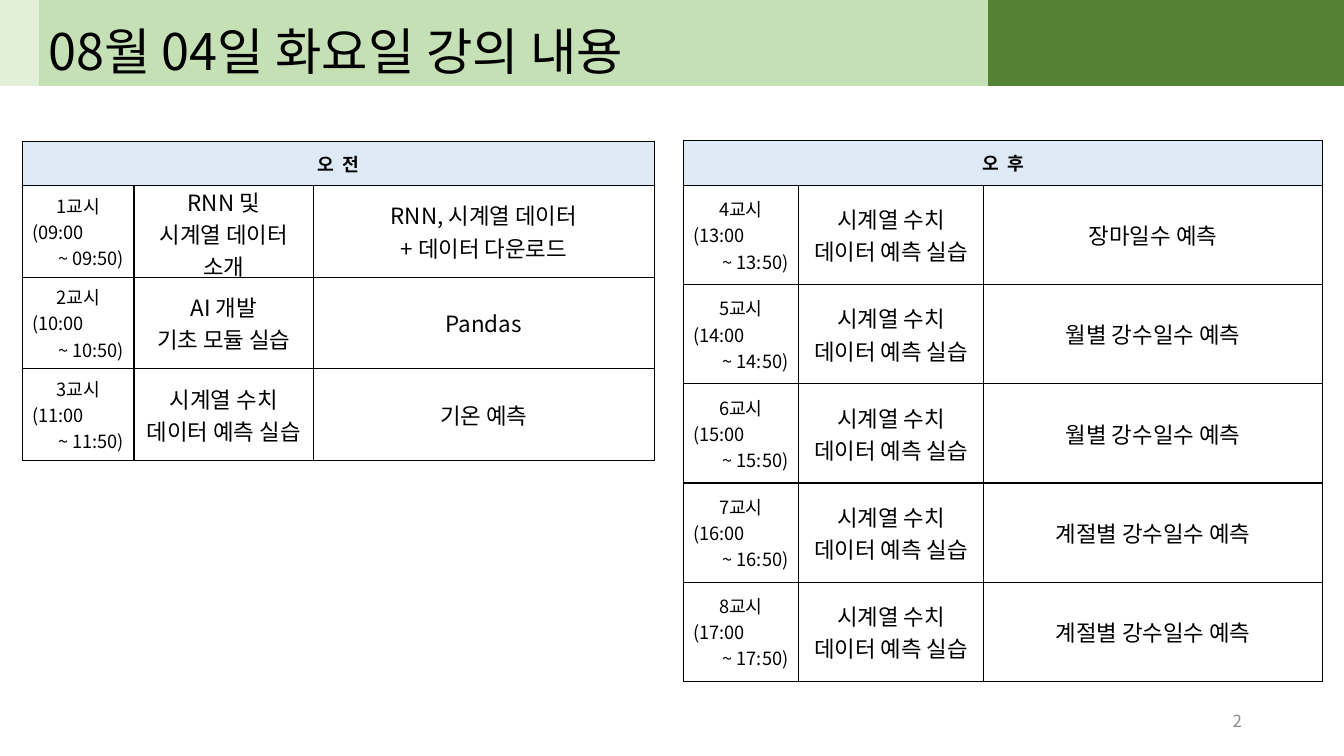
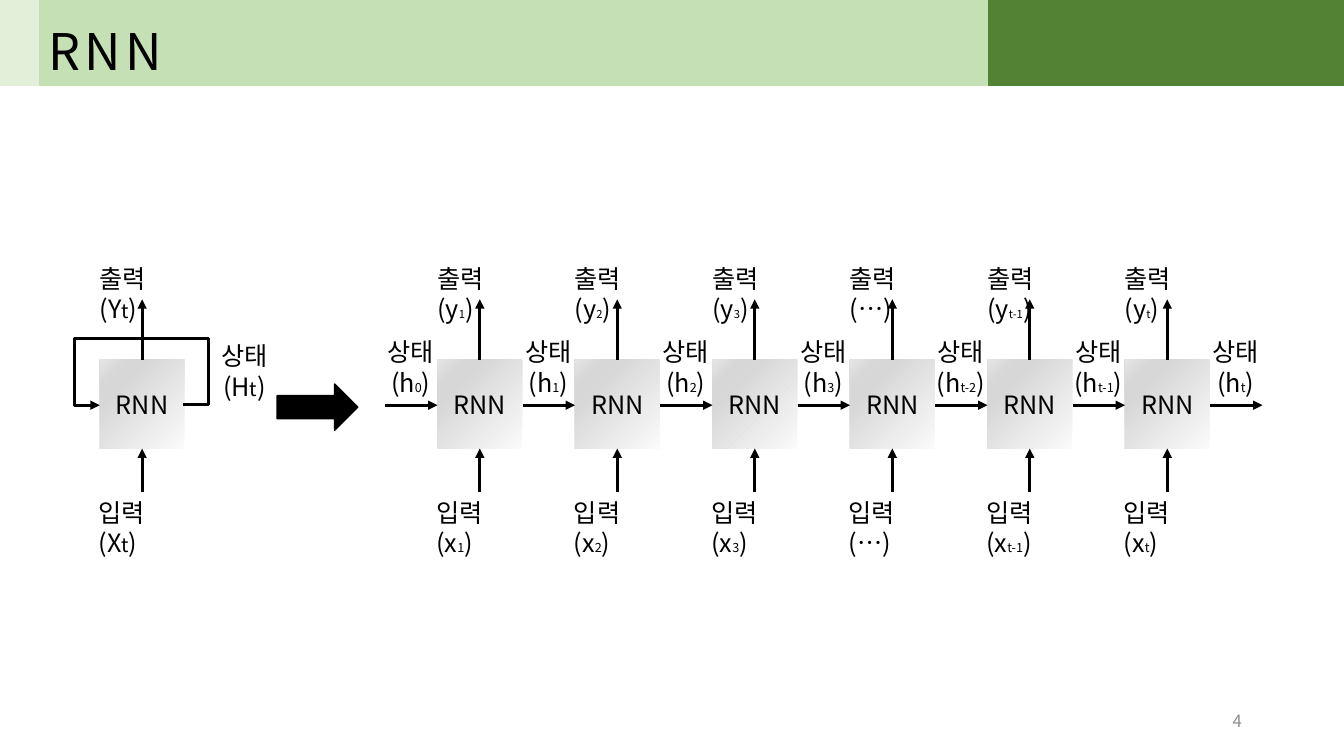
"""Build two lecture slides: a day timetable and an unrolled RNN."""
from lxml import etree
from pptx import Presentation
from pptx import util as u
from pptx.dml.color import RGBColor
from pptx.enum import shapes, text
from pptx.oxml.ns import qn

COLORS = {"pale": "E2F0D9", "light": "C5E0B4", "dark": "548235", "header": "DEEBF7",
          "ink": "000000", "muted": "8C8C8C"}
GRADIENT = [(0, "FAFAFA"), (74, "D7D7D7"), (83, "D7D7D7"), (100, "E4E4E4")]
FONT = "Noto Sans CJK KR"
COLS, ROWS = 133.33, 75
LEFT, CENTER, RIGHT = text.PP_ALIGN.LEFT, text.PP_ALIGN.CENTER, text.PP_ALIGN.RIGHT
MIDDLE = text.MSO_ANCHOR.MIDDLE
RECT = shapes.MSO_SHAPE.RECTANGLE


def grid(*cells):
    """Turn tenth-of-an-inch grid cells into lengths."""
    return [u.Inches(c / 10) for c in cells]


def rgb(name):
    """Look up a named colour."""
    return RGBColor.from_string(COLORS[name])


class Deck:
    """Hold the shared style and the current slide."""

    def __init__(self):
        """Start an empty widescreen presentation."""
        self.prs = Presentation()
        self.prs.slide_width, self.prs.slide_height = grid(COLS, ROWS)
        self.s = None

    def font(self, r, size, color="ink", bold=False):
        """Format one run."""
        r.font.size, r.font.bold = u.Pt(size), bold
        r.font.color.rgb = rgb(color)
        r.font.name = FONT
        etree.SubElement(r._r.get_or_add_rPr(), qn("a:ea"), typeface=FONT)

    def put(self, tf, lines, aligns, size, **style):
        """Fill a frame with lines that share a size."""
        tf.text = "\n".join(lines)
        for p, align in zip(tf.paragraphs, aligns):
            p.alignment = align
            for r in p.runs:
                self.font(r, size, **style)

    def paint(self, sp, color):
        """Give a shape a plain fill and a matching outline."""
        sp.fill.solid()
        sp.fill.fore_color.rgb = rgb(color)
        sp.line.color.rgb = rgb(color)
        sp.line.width = u.Pt(1)

    def shape(self, kind, x, y, w, h, color=None):
        """Add a preset shape without shadow."""
        sp = self.s.shapes.add_shape(kind, *grid(x, y, w, h))
        sp.shadow.inherit = False
        if color:
            self.paint(sp, color)
        return sp

    def slide(self, title, number, spacing=0):
        """Add a slide with title bands and a page number."""
        self.s = self.prs.slides.add_slide(self.prs.slide_layouts[5])
        self.shape(RECT, 0, 0, 3.8, 8.5, "pale")
        sp = self.s.shapes.title
        sp.left, sp.top, sp.width, sp.height = grid(3.8, 0, 94.4, 8.5)
        self.paint(sp, "light")
        tf = sp.text_frame
        tf.auto_size = text.MSO_AUTO_SIZE.NONE
        tf.vertical_anchor = text.MSO_ANCHOR.BOTTOM
        self.put(tf, [title], [LEFT], 36)
        if spacing:
            tf.paragraphs[0].runs[0]._r.get_or_add_rPr().set("spc", str(spacing * 100))
        self.shape(RECT, 98.1, 0, 35.2, 8.5, "dark")
        tf = self.s.shapes.add_textbox(*grid(94.2, 69.5, 30, 4)).text_frame
        tf.word_wrap, tf.vertical_anchor = True, MIDDLE
        self.put(tf, [str(number)], [RIGHT], 12, color="muted")

    def borders(self, cell):
        """Draw thin black lines around a table cell."""
        pr = cell._tc.get_or_add_tcPr()
        for i, side in enumerate("LRTB"):
            ln = etree.Element(qn(f"a:ln{side}"), w=str(u.Pt(1)))
            fill = etree.SubElement(ln, qn("a:solidFill"))
            etree.SubElement(fill, qn("a:srgbClr"), val=COLORS["ink"])
            pr.insert(i, ln)

    def timetable(self, x, y, widths, heights, heading, first, hour, lessons):
        """Add a half-day table of numbered hourly lessons."""
        rows = [heights[0]] + [heights[1]] * len(lessons)
        tb = self.s.shapes.add_table(len(rows), len(widths),
                                     *grid(x, y, sum(widths), sum(rows))).table
        tb.first_row = tb.horz_banding = False
        for col, w in zip(tb.columns, grid(*widths)):
            col.width = w
        for row, h in zip(tb.rows, grid(*rows)):
            row.height = h
        tb.cell(0, 0).merge(tb.cell(0, len(widths) - 1))
        for cell in tb.iter_cells():
            cell.vertical_anchor = MIDDLE
            cell.fill.background()
            self.borders(cell)
        head = tb.cell(0, 0)
        head.fill.solid()
        head.fill.fore_color.rgb = rgb("header")
        self.put(head.text_frame, [heading], [CENTER], 13, bold=True)
        for i, lesson in enumerate(lessons):
            h = hour + i
            period = [f"{first + i}교시", f"({h:02}:00", f"~ {h:02}:50)"]
            self.put(tb.cell(i + 1, 0).text_frame, period, [CENTER, LEFT, RIGHT], 13)
            for j, words in enumerate(lesson, 1):
                cell = tb.cell(i + 1, j)
                cell.margin_left = cell.margin_right = 0
                cell.margin_top = cell.margin_bottom = 0
                lines = words.split("\n")
                self.put(cell.text_frame, lines, [CENTER] * len(lines), 16)

    def stroke(self, sp):
        """Make a line black, thick and arrow-headed."""
        sp.line.color.rgb = rgb("ink")
        sp.line.width = u.Pt(2.25)
        etree.SubElement(sp._element.spPr.find(qn("a:ln")), qn("a:tailEnd"), type="triangle")

    def arrow(self, x1, y1, x2, y2):
        """Add a straight arrow."""
        cn = self.s.shapes.add_connector(shapes.MSO_CONNECTOR.STRAIGHT, *grid(x1, y1, x2, y2))
        self.stroke(cn)
        etree.SubElement(cn._element.spPr, qn("a:effectLst"))

    def loop(self, *points):
        """Add an open angular arrow through the points."""
        start, *rest = [grid(*pt) for pt in points]
        fb = self.s.shapes.build_freeform(*start)
        fb.add_line_segments(rest, close=False)
        sp = fb.convert_to_shape()
        sp.fill.background()
        sp.shadow.inherit = False
        self.stroke(sp)

    def label(self, x, y, w, lines, sub, size, align=LEFT, wrap=True):
        """Add a caption that ends in a subscript and a bracket."""
        tf = self.s.shapes.add_textbox(*grid(x, y, w, 7.1)).text_frame
        tf.word_wrap = wrap
        self.put(tf, lines, [align] * len(lines), 18)
        if sub:
            for part, pt in ((sub, size), (")", 18)):
                r = tf.paragraphs[-1].add_run()
                r.text = part
                self.font(r, pt)

    def state(self, x, y, letter, sub, size=9):
        """Add a two-line state caption."""
        self.label(x, y, 7.1, ["상태", f"({letter}"], sub, size, CENTER, False)

    def cell(self, x, inp, out, sub, sizes=(9, 8)):
        """Add an RNN cell with its input and output."""
        sp = self.shape(RECT, x, 35.7, 8.4, 8.8)
        sp.line.fill.background()
        sp.fill.gradient()
        sp.fill.gradient_angle = 135
        stops = sp._element.spPr.find(qn("a:gradFill")).find(qn("a:gsLst"))
        stops.clear()
        for pos, color in GRADIENT:
            gs = etree.SubElement(stops, qn("a:gs"), pos=str(pos * 1000))
            etree.SubElement(gs, qn("a:srgbClr"), val=color)
        sp.text_frame.vertical_anchor = MIDDLE
        self.put(sp.text_frame, ["RNN"], [CENTER], 18)
        mid = x + 4.2
        self.arrow(mid, 35.7, mid, 29.7)
        self.arrow(mid, 48.8, mid, 44.5)
        self.label(x - 1.1, 48.8, 8.5, [f"입력({inp}"], sub, sizes[0])
        self.label(x - 1, 25.6, 8.5, [f"출력({out}"], sub, sizes[1])


def main():
    """Build and save both slides."""
    deck = Deck()
    practice = "시계열 수치\n데이터 예측 실습"
    deck.slide("08월 04일 화요일 강의 내용", 2)
    deck.timetable(2.2, 14, (11.1, 17.8, 33.8), (4.4, 9.1), "오  전", 1, 9, [
        ("RNN 및\n시계열 데이터\n소개", "RNN, 시계열 데이터\n+ 데이터 다운로드"),
        ("AI 개발\n기초 모듈 실습", "Pandas"),
        (practice, "기온 예측")])
    topics = ["장마일수"] + ["월별 강수일수"] * 2 + ["계절별 강수일수"] * 2
    deck.timetable(67.8, 13.9, (11.4, 18.4, 33.6), (4.5, 9.84), "오  후", 4, 13,
                   [(practice, f"{topic} 예측") for topic in topics])

    deck.slide("RNN", 4, spacing=3)
    deck.cell(9.9, "X", "Y", "t", (14, 14))
    deck.loop((18.2, 40.1), (20.7, 40.1), (20.7, 33.6), (7.4, 33.6), (7.4, 40.2), (9.9, 40.2))
    deck.state(20.7, 33.3, "H", "t", 14)
    deck.shape(shapes.MSO_SHAPE.RIGHT_ARROW, 27.5, 38.1, 8, 4.6, "ink")
    first, step = 43.4, 13.64
    for i, sub in enumerate(["1", "2", "3", "", "t-1", "t"]):
        deck.cell(first + i * step, *(("x", "y") if sub else ("…)", "…)")), sub)
    for i, sub in enumerate(["0", "1", "2", "3", "t-2", "t-1", "t"]):
        x = first + i * step
        deck.arrow(x - 5.2, 40.2, x, 40.2)
        deck.state(x - 6.2, 32.9, "h", sub)
    deck.prs.save("out.pptx")


if __name__ == "__main__":
    main()
